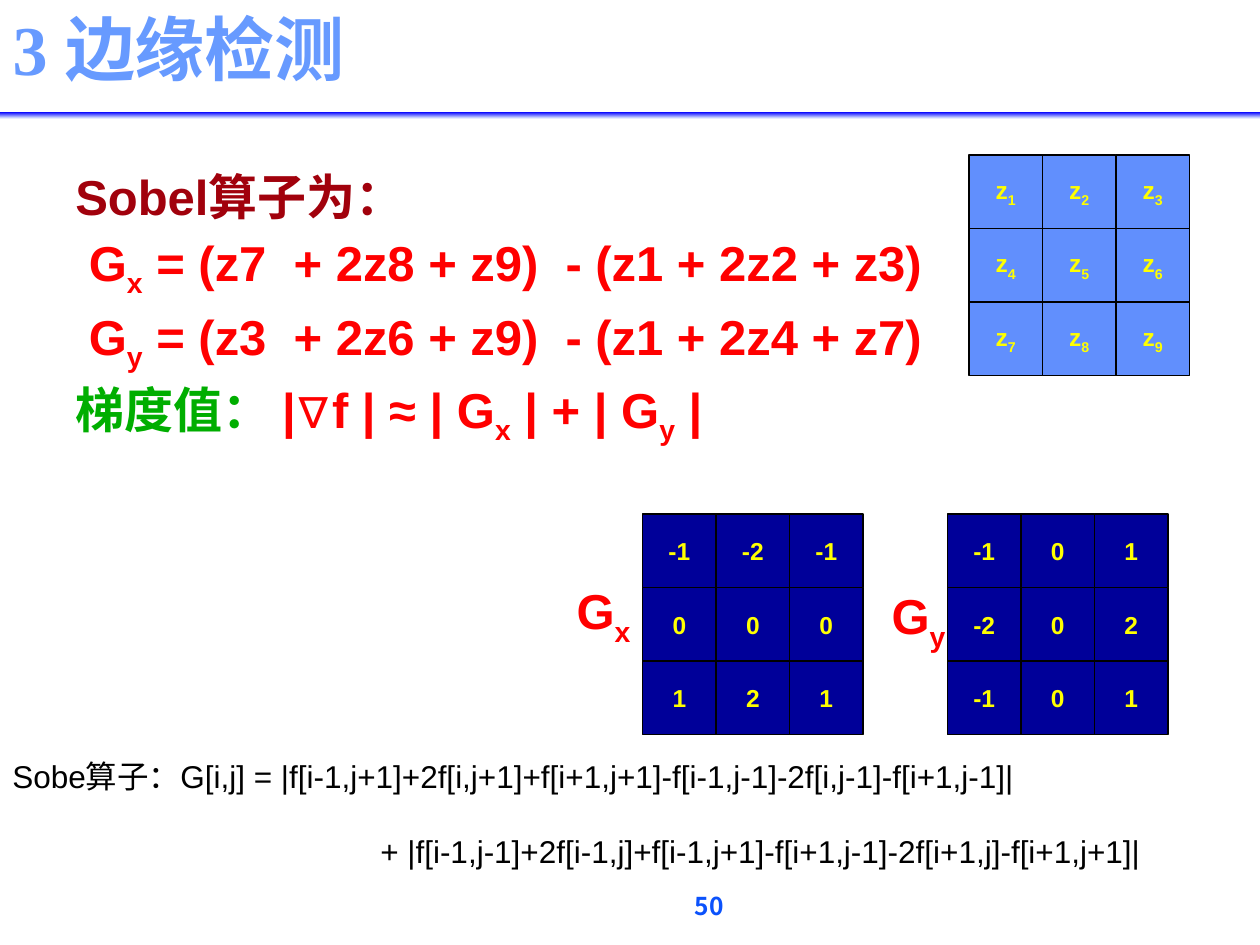
import copy
import dataclasses

import pptx
import pptx.dml.color
import pptx.enum.shapes
import pptx.enum.text
import pptx.oxml.ns
import pptx.util
from pptx.util import Inches

ALIGN = pptx.enum.text.PP_ALIGN
ANCHOR = pptx.enum.text.MSO_ANCHOR
RECTANGLE = pptx.enum.shapes.MSO_SHAPE.RECTANGLE


@dataclasses.dataclass(frozen=True)
class Theme:
    latin: str = "Arial"
    serif: str = "Times New Roman"
    cjk: str = "Noto Sans CJK SC"
    title: str = "679AFF"
    page: str = "0B52FC"
    heading: str = "A1010C"
    formula: str = "FF0000"
    gradient: str = "00AE00"
    body: str = "000000"
    value: str = "FFFF00"
    kernel: str = "000099"
    pixel: str = "618FFD"
    border: str = "000000"
    rule: tuple = ((0, "0000FF"), (0.89, "CCD6FF"), (1, "E6EBFF"))
    title_size: int = 40
    formula_size: int = 28
    body_size: int = 18
    small_size: int = 14


def rgb(value):
    return pptx.dml.color.RGBColor.from_string(value)


class SlideBuilder:
    """Draws styled elements on the current slide."""

    def __init__(self, slide, theme):
        self.slide = slide
        self.theme = theme

    def add_runs(self, paragraph, pieces, size, bold=True, font=None):
        for text, color, *subscript in pieces:
            run = paragraph.add_run()
            run.text = text
            run.font.name = font or self.theme.latin
            run.font.size = pptx.util.Pt(size)
            run.font.bold = bold
            run.font.color.rgb = rgb(color)
            properties = run._r.get_or_add_rPr()
            east_asian = properties.makeelement(
                pptx.oxml.ns.qn("a:ea"), {"typeface": self.theme.cjk})
            properties.append(east_asian)
            if subscript:
                properties.set("baseline", "-25000")

    def title(self, text):
        heading = self.slide.shapes.title
        heading.left, heading.top = Inches(0), Inches(0.07)
        heading.width, heading.height = Inches(10), Inches(0.7)
        frame = heading.text_frame
        frame.vertical_anchor = ANCHOR.BOTTOM
        paragraph = frame.paragraphs[0]
        paragraph.alignment = ALIGN.LEFT
        paragraph.line_spacing = 0.9
        self.add_runs(paragraph, [(text, self.theme.title)],
                      self.theme.title_size, font=self.theme.serif)

    def rule(self, left, top, width, height):
        bar = self.slide.shapes.add_shape(
            RECTANGLE, Inches(left), Inches(top), Inches(width), Inches(height))
        bar.shadow.inherit = False
        bar.line.fill.background()
        bar.fill.gradient()
        bar.fill.gradient_angle = 270
        stops = bar._element.spPr.find(".//" + pptx.oxml.ns.qn("a:gsLst"))
        stops.append(copy.deepcopy(stops[-1]))
        for stop, (position, color) in zip(bar.fill.gradient_stops, self.theme.rule):
            stop.position = position
            stop.color.rgb = rgb(color)

    def text(self, box, lines, size, bold=True, font=None, align=ALIGN.LEFT,
             anchor=ANCHOR.TOP, wrap=True, spacing=1.0, indents=(), before=0):
        left, top, width, height = map(Inches, box)
        frame = self.slide.shapes.add_textbox(left, top, width, height).text_frame
        frame.word_wrap = wrap
        frame.vertical_anchor = anchor
        for index, pieces in enumerate(lines):
            paragraph = frame.add_paragraph() if index else frame.paragraphs[0]
            paragraph.alignment = align
            paragraph.line_spacing = spacing
            if index and before:
                paragraph.space_before = pptx.util.Pt(before)
            if indents:
                margin = Inches(indents[index])
                paragraph._p.get_or_add_pPr().set("marL", str(margin))
            self.add_runs(paragraph, pieces, size, bold, font)

    def kernel_label(self, left, top, axis):
        color = self.theme.formula
        self.text((left, top, 0.64, 0.57), [[("G", color), (axis, color, True)]],
                  self.theme.formula_size, align=ALIGN.CENTER,
                  anchor=ANCHOR.MIDDLE, wrap=False)

    def matrix(self, left, top, rows, color):
        side = Inches(1.75) // 3
        group = self.slide.shapes.add_group_shape()
        for row, values in enumerate(rows):
            for column, pieces in enumerate(values):
                cell = group.shapes.add_shape(
                    RECTANGLE, Inches(left) + column * side,
                    Inches(top) + row * side, side, side)
                cell.shadow.inherit = False
                cell.fill.solid()
                cell.fill.fore_color.rgb = rgb(color)
                cell.line.color.rgb = rgb(self.theme.border)
                cell.line.width = pptx.util.Pt(0.75)
                frame = cell.text_frame
                frame.word_wrap = False
                frame.vertical_anchor = ANCHOR.MIDDLE
                frame.paragraphs[0].alignment = ALIGN.CENTER
                self.add_runs(frame.paragraphs[0], pieces, self.theme.small_size)


def main():
    theme = Theme()
    deck = pptx.Presentation()
    deck.slide_width, deck.slide_height = Inches(10), Inches(7.5)
    builder = SlideBuilder(deck.slides.add_slide(deck.slide_layouts[5]), theme)

    builder.text((3.1, 7.07, 5.06, 0.3), [[("50", theme.page)]], theme.small_size,
                 font=theme.cjk, align=ALIGN.CENTER, spacing=0.8)
    builder.rule(0, 0.89, 10, 0.05)
    builder.title("3 边缘检测")

    kernels = [
        (4.47, 4.59, "x", 5.1, [(-1, -2, -1), (0, 0, 0), (1, 2, 1)]),
        (6.97, 4.63, "y", 7.52, [(-1, 0, 1), (-2, 0, 2), (-1, 0, 1)]),
    ]
    for label_left, label_top, axis, left, weights in kernels:
        builder.kernel_label(label_left, label_top, axis)
        cells = [[[(str(weight), theme.value)] for weight in row] for row in weights]
        builder.matrix(left, 4.08, cells, theme.kernel)

    neighbourhood = [
        [[("z", theme.value), (str(3 * row + column), theme.value, True)]
         for column in (1, 2, 3)] for row in range(3)]
    builder.matrix(7.69, 1.23, neighbourhood, theme.pixel)

    red = theme.formula
    sobel = [
        [("Sobel算子为：", theme.heading)],
        [(" G", red), ("x", red, True),
         (" = (z7  + 2z8 + z9)  - (z1 + 2z2 + z3)", red)],
        [(" G", red), ("y", red, True),
         (" = (z3  + 2z6 + z9)  - (z1 + 2z4 + z7)", red)],
        [("梯度值： ", theme.gradient), ("|∇f | ≈ | G", red), ("x", red, True),
         (" | + | G", red), ("y", red, True), (" |", red)],
    ]
    builder.text((0, 1.23, 8.86, 2.16), sobel, theme.formula_size,
                 spacing=1.1, indents=[0.5] * len(sobel))

    expansion = [
        "Sobe算子：G[i,j] = |f[i-1,j+1]+2f[i,j+1]+f[i+1,j+1]"
        "-f[i-1,j-1]-2f[i,j-1]-f[i+1,j-1]|",
        "+ |f[i-1,j-1]+2f[i-1,j]+f[i-1,j+1]"
        "-f[i+1,j-1]-2f[i+1,j]-f[i+1,j+1]|",
    ]
    builder.text((0, 5.95, 10, 1.01), [[(line, theme.body)] for line in expansion],
                 theme.body_size, bold=False, anchor=ANCHOR.MIDDLE,
                 indents=(0, 2.92), before=21)
    deck.save("out.pptx")


if __name__ == "__main__":
    main()
